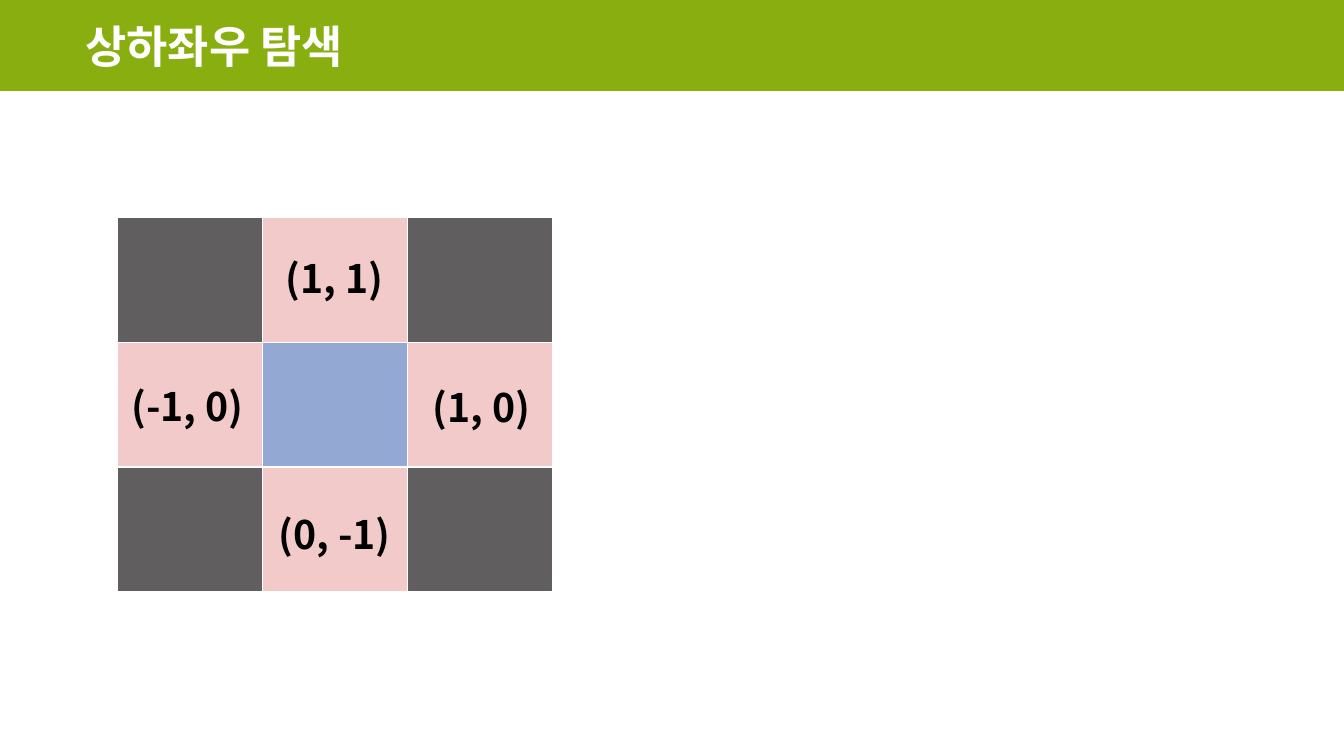
import pptx
import pptx.dml.color
import pptx.enum.shapes
import pptx.enum.text
import pptx.oxml
import pptx.oxml.ns
import pptx.util

Cm = pptx.util.Cm
Pt = pptx.util.Pt
GREEN, WHITE, BLACK = "88AF0F", "FFFFFF", "000000"
CELL_COLOURS = {"wall": "605E5F", "next": "F2CAC9", "here": "94A8D4"}
GRID = [
    ["wall", "next", "wall"],
    ["next", "here", "next"],
    ["wall", "next", "wall"],
]
LABELS = [
    ("(1, 1)", 6.81, 6.27, 3.23),
    ("(1, 0)", 10.52, 9.53, 3.23),
    ("(0, -1)", 6.5, 12.73, 3.86),
    ("(-1, 0)", 2.79, 9.5, 3.86),
]


def colour(value):
    return pptx.dml.color.RGBColor.from_string(value)


class SlideBuilder:
    """Hold the style and the current slide, and add its elements."""

    font = "Noto Sans CJK KR"

    def __init__(self, page):
        self.page = page

    def fill_text(self, box, text, size, hue, align):
        frame = box.text_frame
        frame.word_wrap = True
        frame.auto_size = pptx.enum.text.MSO_AUTO_SIZE.NONE
        frame.vertical_anchor = pptx.enum.text.MSO_ANCHOR.MIDDLE
        para = frame.paragraphs[0]
        para.alignment = align
        para.line_spacing = 1.0
        span = para.add_run()
        span.text = text
        span.font.name = self.font
        span.font.size = Pt(size)
        span.font.bold = True
        span.font.color.rgb = colour(hue)
        east_asian = pptx.oxml.parse_xml(
            f'<a:ea {pptx.oxml.ns.nsdecls("a")} typeface="{self.font}"/>')
        properties = span._r.get_or_add_rPr()
        properties.find(pptx.oxml.ns.qn("a:latin")).addnext(east_asian)

    def banner(self, width, height, hue):
        bar = self.page.shapes.add_shape(
            pptx.enum.shapes.MSO_SHAPE.RECTANGLE, 0, 0, Cm(width), Cm(height))
        bar.shadow.inherit = False
        bar.fill.solid()
        bar.fill.fore_color.rgb = colour(hue)
        bar.line.fill.background()
        self.page.shapes.title.element.addprevious(bar.element)

    def title(self, text, left, top, width, height):
        box = self.page.shapes.title
        box.left, box.top = Cm(left), Cm(top)
        box.width, box.height = Cm(width), Cm(height)
        self.fill_text(box, text, 32, WHITE, pptx.enum.text.PP_ALIGN.LEFT)

    def label(self, text, left, top, width):
        box = self.page.shapes.add_textbox(Cm(left), Cm(top), Cm(width), Cm(1.45))
        self.fill_text(box, text, 28, BLACK, pptx.enum.text.PP_ALIGN.CENTER)

    def grid(self, kinds, left, top, cell_width, cell_height):
        rows, columns = len(kinds), len(kinds[0])
        table = self.page.shapes.add_table(
            rows, columns, Cm(left), Cm(top),
            Cm(columns * cell_width), Cm(rows * cell_height)).table
        table.first_row = table.horz_banding = False
        for row, row_kinds in enumerate(kinds):
            for column, kind in enumerate(row_kinds):
                cell = table.cell(row, column)
                cell.fill.solid()
                cell.fill.fore_color.rgb = colour(CELL_COLOURS[kind])
                self.outline(cell, WHITE)

    def outline(self, cell, hue):
        properties = cell._tc.get_or_add_tcPr()
        for index, side in enumerate(("lnL", "lnR", "lnT", "lnB")):
            properties.insert(index, pptx.oxml.parse_xml(
                f'<a:{side} {pptx.oxml.ns.nsdecls("a")} w="{Pt(1)}">'
                f'<a:solidFill><a:srgbClr val="{hue}"/></a:solidFill></a:{side}>'))


def main():
    deck = pptx.Presentation()
    deck.slide_width, deck.slide_height = Cm(33.87), Cm(19.05)
    builder = SlideBuilder(deck.slides.add_slide(deck.slide_layouts[5]))
    builder.banner(33.87, 2.29, GREEN)
    builder.title("상하좌우 탐색", 1.9, 0.33, 30.05, 1.63)
    builder.grid(GRID, 2.95, 5.49, 3.66, 3.14)
    for label in LABELS:
        builder.label(*label)
    deck.save("out.pptx")


if __name__ == "__main__":
    main()
